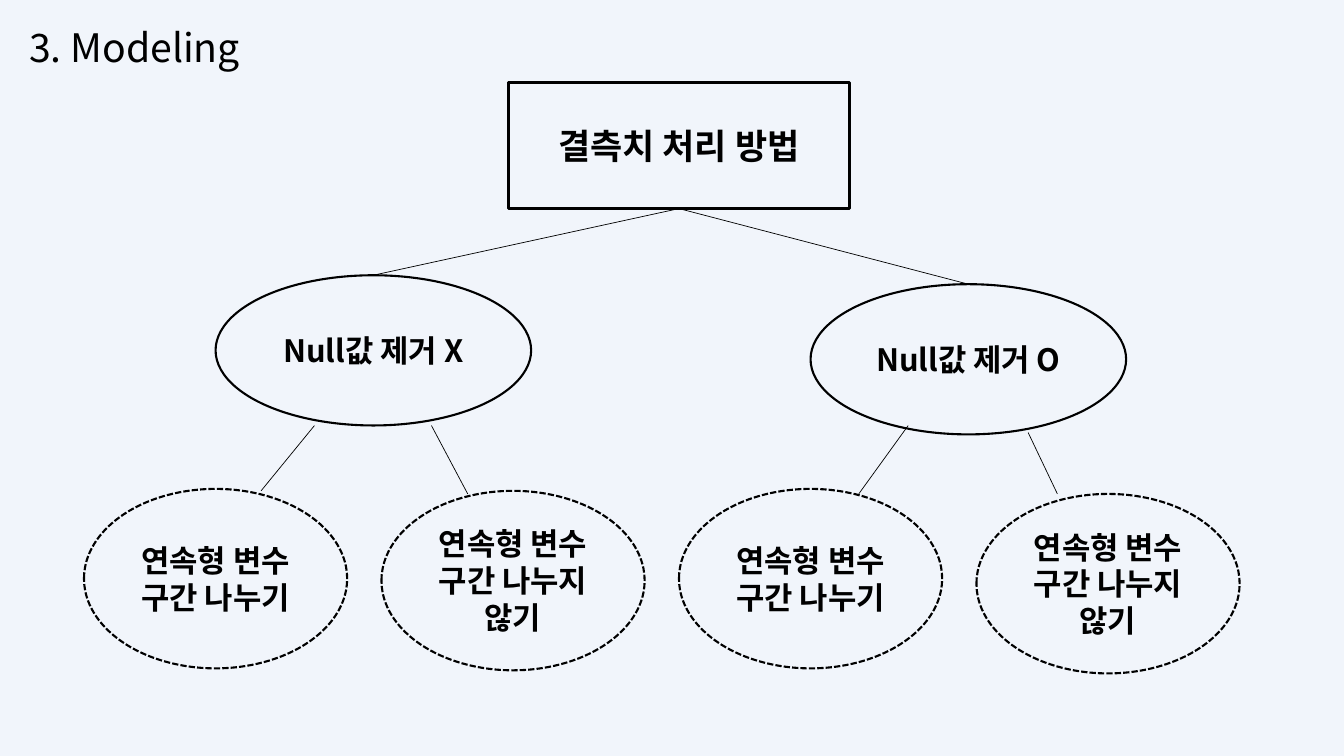
from lxml import etree
from pptx import Presentation
from pptx.dml.color import RGBColor
from pptx.enum.dml import MSO_LINE
from pptx.enum.shapes import MSO_CONNECTOR, MSO_SHAPE
from pptx.enum.text import MSO_ANCHOR, MSO_AUTO_SIZE, PP_ALIGN
from pptx.oxml.ns import qn
from pptx.util import Pt

BLACK = RGBColor(0, 0, 0)
PALE = RGBColor(0xF1, 0xF5, 0xFB)
FONT = "Noto Sans CJK KR"
RECT, OVAL = MSO_SHAPE.RECTANGLE, MSO_SHAPE.OVAL
LINE = MSO_CONNECTOR.STRAIGHT
DASH = MSO_LINE.SQUARE_DOT
TOP, MIDDLE = MSO_ANCHOR.TOP, MSO_ANCHOR.MIDDLE
LEFT, CENTER = PP_ALIGN.LEFT, PP_ALIGN.CENTER
FIXED = MSO_AUTO_SIZE.NONE


class Board:
    """Hold the tree style and the slide being drawn."""

    def __init__(self, deck):
        self.slide = deck.slides.add_slide(deck.slide_layouts[5])
        fill = self.slide.background.fill
        fill.solid()
        fill.fore_color.rgb = PALE

    def label(self, frame, text, size, bold, align, anchor):
        frame.text = text
        frame.word_wrap = True
        frame.auto_size = FIXED
        frame.vertical_anchor = anchor
        for para in frame.paragraphs:
            para.alignment = align
            font = para.font
            font.name, font.size, font.bold = FONT, Pt(size), bold
            font.color.rgb = BLACK
            props = para._p.pPr.find(qn("a:defRPr"))
            etree.SubElement(props, qn("a:ea"), typeface=FONT)

    def title(self, text, x, y, w, h):
        shape = self.slide.shapes.title
        shape.left, shape.top = Pt(x), Pt(y)
        shape.width, shape.height = Pt(w), Pt(h)
        self.label(shape.text_frame, text, 28, False, LEFT, TOP)

    def node(self, kind, text, x, y, w, h, size=22, weight=1.5, dash=None):
        shape = self.slide.shapes.add_shape(kind, Pt(x), Pt(y), Pt(w), Pt(h))
        shape.shadow.inherit = False
        shape.fill.background()
        shape.line.color.rgb = BLACK
        shape.line.width = Pt(weight)
        if dash:
            shape.line.dash_style = dash
        self.label(shape.text_frame, text, size, True, CENTER, MIDDLE)
        return shape

    def link(self, x1=0, y1=0, x2=0, y2=0):
        line = self.slide.shapes.add_connector(
            LINE, Pt(x1), Pt(y1), Pt(x2), Pt(y2))
        line.line.color.rgb = BLACK
        line.line.width = Pt(0.5)
        etree.SubElement(line._element.spPr, qn("a:effectLst"))
        return line

    def join(self, parent, child):
        line = self.link()
        line.begin_connect(parent, 2)
        line.end_connect(child, 0)


def main():
    deck = Presentation()
    deck.slide_width, deck.slide_height = Pt(960), Pt(540)
    board = Board(deck)
    board.title("3. Modeling", 13.7, 13, 235.4, 41)

    root = board.node(RECT, "결측치 처리 방법", 363, 59, 244, 90, 25, 2.25)
    for mark, x, y in (("X", 154, 196.6), ("O", 579, 203)):
        branch = board.node(OVAL, f"Null값 제거 {mark}", x, y, 225.4, 107.3)
        board.join(root, branch)

    split = "연속형 변수\n구간 나누기"
    whole = "연속형 변수\n구간 나누지\n않기"
    leaves = ((split, 349.2), (whole, 350.6), (split, 349.2), (whole, 352.8))
    for i, (text, y) in enumerate(leaves):
        board.node(OVAL, text, 60 + 212.5 * i, y, 188, 128.2, dash=DASH)

    for ends in ((224.6, 304, 186.5, 350.6), (308.2, 304, 334.1, 352.8),
                 (648.7, 304, 613.4, 352.8), (734.4, 309, 755.3, 352.8)):
        board.link(*ends)
    deck.save("out.pptx")


if __name__ == "__main__":
    main()
